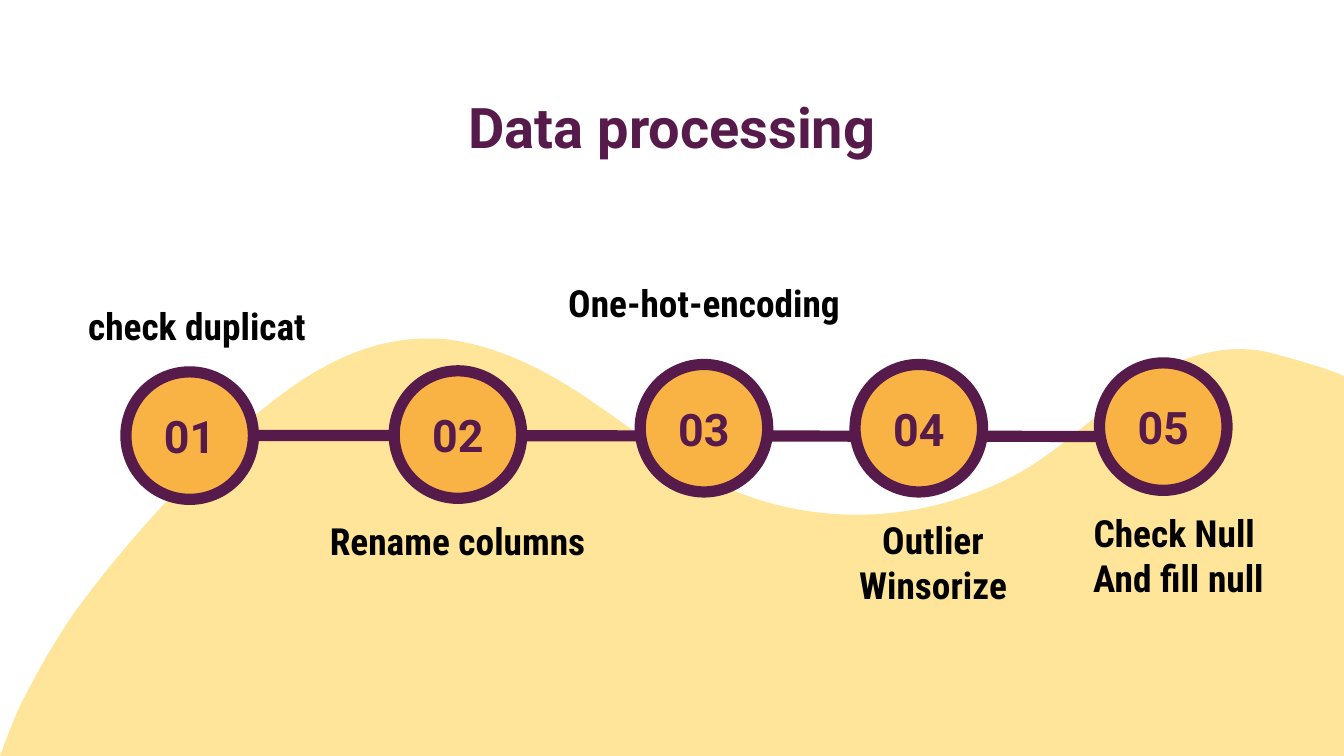
from dataclasses import dataclass

from lxml.etree import SubElement
from pptx import Presentation
from pptx.dml.color import RGBColor
from pptx.enum.shapes import MSO_CONNECTOR, MSO_SHAPE
from pptx.enum.text import MSO_ANCHOR, MSO_AUTO_SIZE, PP_ALIGN
from pptx.oxml.ns import qn
from pptx.slide import Slide
from pptx.text.text import TextFrame
from pptx.util import Cm, Pt

PLUM = RGBColor(0x56, 0x1A, 0x4B)
ORANGE = RGBColor(0xF9, 0xB3, 0x45)
SAND = RGBColor(0xFF, 0xE5, 0x99)
BLACK = RGBColor(0, 0, 0)

CIRCLE_SIZE = 2.41
LABEL_HEIGHT = 1.19
LINE_WIDTH = Pt(6)


@dataclass
class Step:
    """One stage: circle corner, then label corner and width, in cm."""
    label: str
    circle_left: float
    circle_top: float
    label_left: float
    label_top: float
    label_width: float


STEPS = [
    Step("check duplicat", 2.38, 7.03, 0.93, 5.56, 5.59),
    Step("Rename columns", 7.45, 7.01, 5.21, 9.63, 6.88),
    Step("One-hot-encoding", 12.1, 6.89, 9.87, 5.13, 6.88),
    Step("Outlier\nWinsorize", 16.16, 6.89, 14.84, 10.03, 5.59),
    Step("Check Null \nAnd fill null", 20.78, 6.86, 19.48, 9.9, 5.59),
]

# Crest of the wave from right to left: two control points and an end point
WAVE_CORNER = (25.48, 14.29)
WAVE_START = (25.45, 7.16)
WAVE_CURVES = [
    ((25.53, 7.09), (24.26, 6.73), (24.16, 6.71)),
    ((23.9, 6.63), (23.65, 6.6), (23.42, 6.6)),
    ((22.99, 6.6), (22.58, 6.71), (22.17, 6.88)),
    ((20.96, 7.47), (20.19, 8.51), (18.97, 9.09)),
    ((18.11, 9.5), (17.17, 9.73), (16.21, 9.73)),
    ((15.39, 9.73), (14.58, 9.58), (13.82, 9.25)),
    ((12.83, 8.84), (12.09, 8.2), (11.23, 7.62)),
    ((10.41, 7.04), (9.35, 6.48), (8.28, 6.4)),
    ((8.2, 6.4), (8.15, 6.4), (8.08, 6.4)),
    ((6.5, 6.4), (5.26, 7.44), (4.22, 8.38)),
    ((3.2, 9.37), (2.24, 10.44), (1.42, 11.56)),
    ((1.02, 12.14), (0.69, 12.73), (0.38, 13.34)),
    ((0.25, 13.61), (0, 14.29), (0, 14.29)),
]


def write(frame: TextFrame, text: str, font: str, size: int, color: RGBColor,
          anchor: MSO_ANCHOR = MSO_ANCHOR.MIDDLE) -> None:
    frame.text = text
    frame.word_wrap = True
    frame.auto_size = MSO_AUTO_SIZE.NONE
    frame.vertical_anchor = anchor
    frame.margin_left = frame.margin_right = Cm(0.25)
    frame.margin_top = frame.margin_bottom = Cm(0.25)
    for para in frame.paragraphs:
        para.alignment = PP_ALIGN.CENTER
        for span in para.runs:
            span.font.name = font
            span.font.size = Pt(size)
            span.font.bold = True
            span.font.color.rgb = color


def draw_wave(page: Slide) -> None:
    points = [WAVE_START] + [point for curve in WAVE_CURVES for point in curve]
    builder = page.shapes.build_freeform(*map(Cm, WAVE_CORNER))
    builder.add_line_segments([(Cm(x), Cm(y)) for x, y in points], close=True)
    wave = builder.convert_to_shape()
    wave.shadow.inherit = False
    wave.fill.solid()
    wave.fill.fore_color.rgb = SAND
    wave.line.fill.background()

    # Every three segments after the right edge become one cubic curve
    segments = list(wave._element.iter(qn("a:lnTo")))[1:]
    for first, second, end in zip(segments[::3], segments[1::3], segments[2::3]):
        first.tag = qn("a:cubicBezTo")
        for segment in (second, end):
            first.append(segment[0])
            segment.getparent().remove(segment)


def draw_timeline(page: Slide) -> None:
    line = page.shapes.add_connector(
        MSO_CONNECTOR.STRAIGHT, Cm(4.7), Cm(8.23), Cm(20.88), Cm(8.25))
    line.line.color.rgb = PLUM
    line.line.width = LINE_WIDTH
    SubElement(line._element.spPr, qn("a:effectLst"))


def draw_circle(page: Slide, number: int, step: Step) -> None:
    circle = page.shapes.add_shape(
        MSO_SHAPE.OVAL, Cm(step.circle_left), Cm(step.circle_top),
        Cm(CIRCLE_SIZE), Cm(CIRCLE_SIZE))
    circle.shadow.inherit = False
    circle.fill.solid()
    circle.fill.fore_color.rgb = ORANGE
    circle.line.color.rgb = PLUM
    circle.line.width = LINE_WIDTH
    write(circle.text_frame, f"{number:02}", "Roboto", 24, PLUM)


def draw_label(page: Slide, step: Step) -> None:
    box = page.shapes.add_textbox(
        Cm(step.label_left), Cm(step.label_top),
        Cm(step.label_width), Cm(LABEL_HEIGHT))
    write(box.text_frame, step.label, "Roboto Condensed", 20, BLACK)


def main() -> None:
    deck = Presentation()
    deck.slide_width, deck.slide_height = Cm(25.4), Cm(14.29)
    page = deck.slides.add_slide(deck.slide_layouts[5])

    # Title
    title = page.shapes.title
    title.left, title.top = Cm(2), Cm(1.5)
    title.width, title.height = Cm(21.4), Cm(1.32)
    write(title.text_frame, "Data processing", "Roboto", 30, PLUM, MSO_ANCHOR.TOP)

    # Background, then the line, then the steps on top of it
    draw_wave(page)
    draw_timeline(page)
    for number, step in enumerate(STEPS, start=1):
        draw_circle(page, number, step)
        draw_label(page, step)

    deck.save("out.pptx")


if __name__ == "__main__":
    main()
